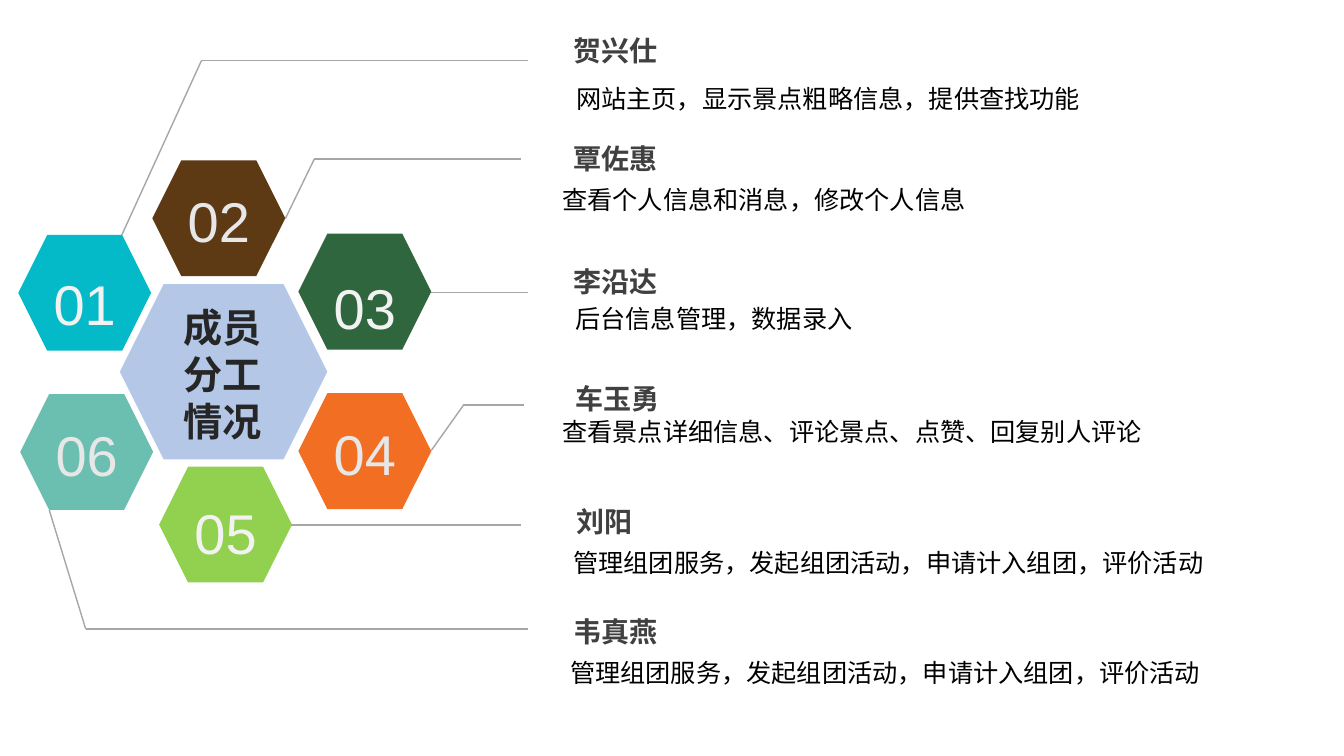
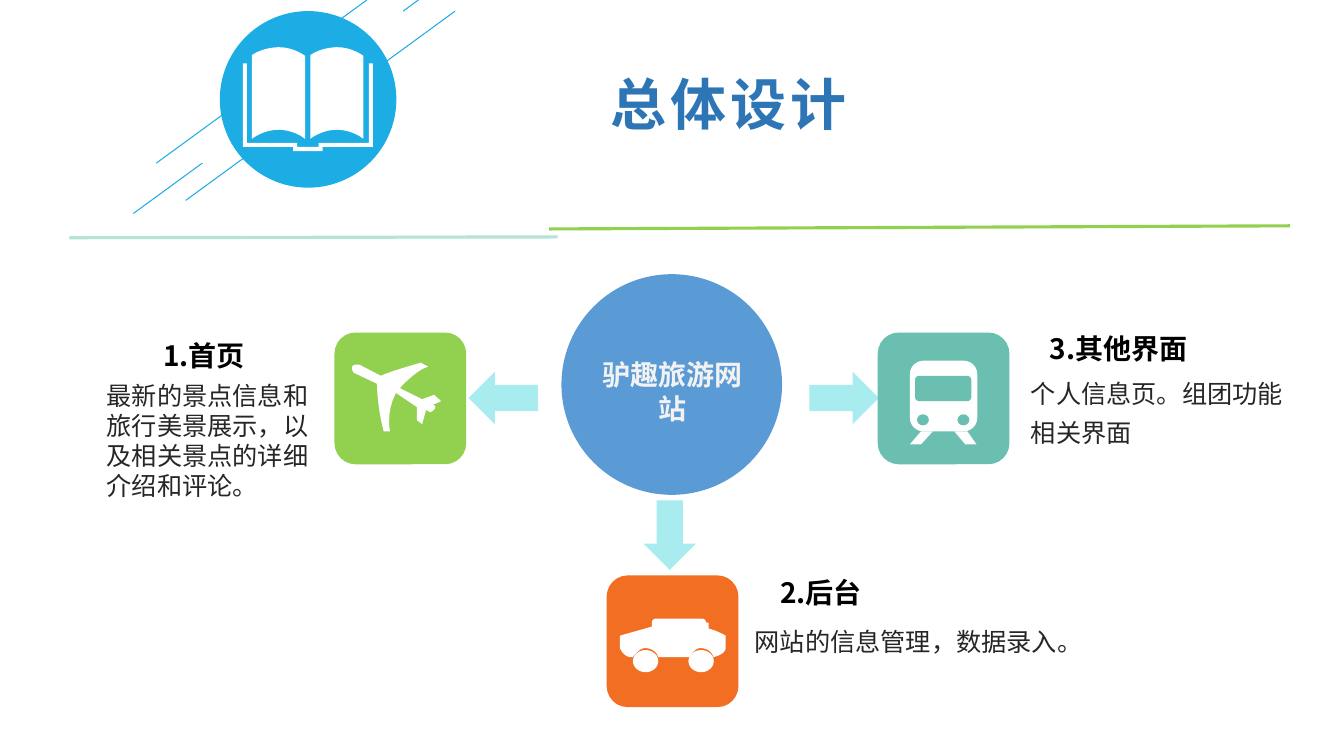
from itertools import pairwise

from lxml.etree import SubElement
from pptx import Presentation
from pptx.dml.color import RGBColor
from pptx.enum.shapes import MSO_CONNECTOR, MSO_SHAPE
from pptx.enum.text import MSO_ANCHOR, PP_ALIGN
from pptx.oxml.ns import qn
from pptx.util import Cm, Pt

HAN, LATIN = "Noto Sans CJK SC", "Arial"
WHITE = RGBColor(0xFF, 0xFF, 0xFF)
BLACK = RGBColor(0, 0, 0)
INK = RGBColor(0x26, 0x26, 0x26)
SLATE = RGBColor(0x40, 0x40, 0x40)
GRAY = RGBColor(0xA6, 0xA6, 0xA6)
PALE = RGBColor(0xF2, 0xF2, 0xF2)
SILVER = RGBColor(0xE7, 0xE7, 0xE7)
CYAN = RGBColor(0x05, 0xBA, 0xC8)
BROWN = RGBColor(0x5D, 0x3A, 0x14)
FOREST = RGBColor(0x2F, 0x66, 0x3E)
ORANGE = RGBColor(0xF2, 0x6E, 0x22)
LIME = RGBColor(0x92, 0xD0, 0x50)
TEAL = RGBColor(0x6B, 0xBF, 0xB0)
MIST = RGBColor(0xB4, 0xC7, 0xE7)
NAVY = RGBColor(0x2E, 0x75, 0xB6)
SKY = RGBColor(0x1C, 0xAD, 0xE4)
BLUE = RGBColor(0x5B, 0x9B, 0xD5)
ICE = RGBColor(0xA8, 0xEC, 0xEF)
MINT = RGBColor(0xB3, 0xE4, 0xD6)

HEX_W, HEX_H = 3.35, 2.92
TILE = 3.32

# Hexagon: left, top, fill, digit colour, drop of the digits.
# Then name and job (each with left and top) and the points of the leader.
MEMBERS = [
    ((0.46, 5.92, CYAN, PALE, 0.25), (14.2, 0.71, "贺兴仕"),
     (14.27, 1.98, "网站主页，显示景点粗略信息，提供查找功能"),
     [(3.07, 5.92), (5.08, 1.52), (13.31, 1.52)]),
    ((3.84, 4.04, BROWN, SILVER, 0.05), (14.2, 3.43, "覃佐惠"),
     (13.92, 4.52, "查看个人信息和消息，修改个人信息"),
     [(7.19, 5.51), (7.92, 4.01), (13.13, 4.01)]),
    ((7.52, 5.89, FOREST, PALE, 0.38), (14.2, 6.55, "李沿达"),
     (14.25, 7.52, "后台信息管理，数据录入"),
     [(10.87, 7.37), (13.31, 7.37)]),
    ((7.52, 9.91, ORANGE, SILVER, 0.05), (14.25, 9.5, "车玉勇"),
     (13.92, 10.36, "查看景点详细信息、评论景点、点赞、回复别人评论"),
     [(10.87, 11.35), (11.68, 10.21), (13.21, 10.21)]),
    ((4.01, 11.76, LIME, PALE, 0.2), (14.27, 12.6, "刘阳"),
     (14.2, 13.67, "管理组团服务，发起组团活动，申请计入组团，评价活动"),
     [(7.34, 13.23), (13.13, 13.23)]),
    ((0.51, 9.93, TEAL, SILVER, 0.05), (14.2, 15.37, "韦真燕"),
     (14.12, 16.43, "管理组团服务，发起组团活动，申请计入组团，评价活动"),
     [(1.24, 12.85), (2.16, 15.85), (13.31, 15.85)]),
]

# Outlines: a pair is a corner, four numbers are a bend (control, end).
PAGE = [(1.34, 2.31), (1.34, 0.22), (1.06, 0, 0.68, 0), (0.28, 0, 0, 0.2),
        (0, 2.31), (0.28, 2.08, 0.68, 2.08), (1.06, 2.08, 1.34, 2.31)]
COVER = [(3.28, 0.41), (3.18, 0.41), (3.18, 2.41), (1.91, 2.41),
         (1.91, 2.51), (1.37, 2.51), (1.37, 2.41), (0.1, 2.41),
         (0.1, 0.41), (0, 0.41), (0, 2.51), (1.27, 2.51), (1.27, 2.62),
         (2.01, 2.62), (2.01, 2.51), (3.28, 2.51)]
PLANE = [(2.08, 1.12), (2.31, 1.02), (2.13, 0.86), (1.83, 0.97),
         (1.27, 0.69), (1.65, 0.25, 1.98, 0.15), (1.8, 0.05),
         (1.07, 0.25, 0.79, 0.38), (0.25, 0.1), (-0.05, 0.05, 0.1, 0.3),
         (0.69, 0.58), (0.7, 1.2, 0.86, 1.78), (1.02, 1.78),
         (0.91, 1.3, 1.17, 0.81), (1.7, 1.17), (1.7, 1.5), (1.83, 1.6),
         (1.93, 1.24), (2.03, 1.3), (2.24, 1.2, 2.13, 1.12)]
CAR = [(2.67, 0.43), (2.45, 0.3, 2.24, 0.25), (2.24, 0.1), (2.18, 0.1),
       (2.16, 0, 2.08, 0), (0.91, 0), (0.81, 0, 0.81, 0.1), (0.81, 0.2),
       (0, 0.43), (0, 0.74), (0.1, 0.97, 0.28, 0.97), (0.33, 0.97),
       (0.48, 0.74, 0.64, 0.74), (0.91, 0.74, 0.97, 0.97), (1.75, 0.97),
       (1.88, 0.74, 2.03, 0.74), (2.31, 0.74, 2.36, 0.97),
       (2.67, 0.9, 2.67, 0.74)]
LEGS = [[(0.28, 1.78), (0, 2.11), (0.28, 2.11), (0.58, 1.78)],
        [(1.12, 1.78), (1.4, 2.11), (1.68, 2.11), (1.45, 1.78)]]


def paint(shape, color):
    shape.shadow.inherit = False
    shape.fill.solid()
    shape.fill.fore_color.rgb = color
    shape.line.fill.background()


def block(slide, kind, left, top, width, height, color, adjust=None):
    shape = slide.shapes.add_shape(
        kind, Cm(left), Cm(top), Cm(width), Cm(height))
    paint(shape, color)
    if adjust is not None:
        shape.adjustments[0] = adjust


def bend(start, control, end, steps=8):
    """Return the points of a curve that leaves start without a handle."""
    points = []
    for step in range(1, steps + 1):
        t = step / steps
        u = 1 - t
        points.append(tuple(
            (u ** 3 + 3 * u * u * t) * a + 3 * u * t * t * b + t ** 3 * c
            for a, b, c in zip(start, control, end)))
    return points


def trace(slide, left, top, outline, color):
    """Draw a closed outline from the corner at left, top."""
    points = [outline[0]]
    for part in outline[1:]:
        if len(part) == 4:
            points += bend(points[-1], part[:2], part[2:])
        else:
            points.append(part)
    spots = [(Cm(left + x), Cm(top + y)) for x, y in points]
    pen = slide.shapes.build_freeform(*spots[0])
    pen.add_line_segments(spots[1:], close=True)
    paint(pen.convert_to_shape(), color)


def stroke(slide, start, end, color, weight):
    line = slide.shapes.add_connector(
        MSO_CONNECTOR.STRAIGHT, *[Cm(v) for v in (*start, *end)])
    line.line.color.rgb = color
    line.line.width = Pt(weight)
    SubElement(line._element.spPr, qn("a:effectLst"))


def label(slide, left, top, width, height, text, size, color, bold=False,
          align=PP_ALIGN.LEFT, face=HAN, anchor=MSO_ANCHOR.TOP,
          spacing=None, track=None):
    box = slide.shapes.add_textbox(
        Cm(left), Cm(top), Cm(width), Cm(height))
    frame = box.text_frame
    frame.word_wrap = True
    frame.vertical_anchor = anchor
    frame.text = text
    para = frame.paragraphs[0]
    para.alignment = align
    if spacing:
        para.line_spacing = spacing
    run = para.runs[0]
    run.font.name = face
    run.font.size = Pt(size)
    run.font.bold = bold
    run.font.color.rgb = color
    props = run.font._element
    SubElement(props, qn("a:ea")).set("typeface", face)
    if track:
        props.set("spc", str(track * 100))


def badge(slide, left, top, fill, ink, drop, number):
    block(slide, MSO_SHAPE.HEXAGON, left, top, HEX_W, HEX_H, fill)
    label(slide, left, top + drop, HEX_W, HEX_H, f"{number:02}", 40, ink,
          align=PP_ALIGN.CENTER, face=LATIN, anchor=MSO_ANCHOR.MIDDLE)


def hub(slide, left, top):
    block(slide, MSO_SHAPE.HEXAGON, left, top, 5.23, 4.42, MIST)
    label(slide, left + 0.97, top + 0.36, 3.23, 3.84, "成员分工情况", 28,
          INK, bold=True, align=PP_ALIGN.CENTER)


def team_slide(slide):
    for number, (hexagon, name, job, leader) in enumerate(MEMBERS, 1):
        badge(slide, *hexagon, number)
        for start, end in pairwise(leader):
            stroke(slide, start, end, GRAY, 1)
        left, top, text = name
        label(slide, left, top, 5.8, 1.1, text, 20, SLATE, bold=True)
        left, top, text = job
        label(slide, left, top, 16.8, 1.02, text, 18, BLACK)
    hub(slide, 3.02, 7.16)


def emblem(slide, left, top):
    """Draw the open book on its disc, with slanting streaks."""
    block(slide, MSO_SHAPE.OVAL, left, top, 4.45, 4.45, SKY)
    for x, y in [(2.87, 0.33), (4.62, 0), (-1.6, 3.83), (-2.18, 5.1),
                 (4.19, 1.27), (-0.86, 4.77)]:
        foot = (left + x, top + y)
        rise = min(1.27, foot[1])
        stroke(slide, (foot[0] + rise * 1.37, foot[1] - rise), foot,
               SKY, 0.75)
    for shift in (0.23, 1.7):
        trace(slide, left + 0.58 + shift, top + 0.91, PAGE, WHITE)
    trace(slide, left + 0.58, top + 1.19 - 0.28, COVER, WHITE)


def plane(slide, left, top):
    trace(slide, left + 0.38, top + 0.71, PLANE, WHITE)


def car(slide, left, top):
    left, top = left + 0.33, top + 1.09
    for x in (0.33, 1.73):
        block(slide, MSO_SHAPE.OVAL, left + x, top + 0.79, 0.64, 0.56, WHITE)
    trace(slide, left, top, CAR, WHITE)


def train(slide, left, top):
    left, top = left + 0.81, top + 0.71
    slab = MSO_SHAPE.ROUNDED_RECTANGLE
    block(slide, slab, left, top, 1.7, 1.78, WHITE, 0.2)
    block(slide, slab, left + 0.13, top + 0.38, 1.42, 0.64, TEAL, 0.16)
    for x in (0.18, 1.2):
        block(slide, MSO_SHAPE.OVAL, left + x, top + 1.35, 0.3, 0.28, TEAL)
    for leg in LEGS:
        trace(slide, left, top, leg, WHITE)


def tile(slide, left, top, color, icon):
    block(slide, MSO_SHAPE.ROUNDED_RECTANGLE, left, top, TILE, TILE, color,
          0.16)
    icon(slide, left, top)


def header(slide):
    emblem(slide, 5.54, 0.28)
    label(slide, 15.14, 1.63, 14.9, 1.96, "总体设计", 40, NAVY, bold=True,
          track=3)
    stroke(slide, (1.75, 5.99), (14.05, 5.97), MINT, 2.25)
    stroke(slide, (13.84, 5.77), (32.51, 5.69), LIME, 2.25)


def centre(slide, left, top):
    """Place the disc and the three arrows that leave it."""
    block(slide, MSO_SHAPE.OVAL, left, top, 5.56, 5.56, BLUE)
    label(slide, left + 0.56, top + 1.98, 4.47, 1.96, "驴趣旅游网站", 20,
          PALE, bold=True, align=PP_ALIGN.CENTER)
    for kind, x, y, width, height in [
            (MSO_SHAPE.LEFT_ARROW, -2.34, 2.46, 1.75, 1.32),
            (MSO_SHAPE.RIGHT_ARROW, 6.25, 2.46, 1.75, 1.32),
            (MSO_SHAPE.DOWN_ARROW, 2.07, 5.7, 1.32, 1.75)]:
        block(slide, kind, left + x, top + y, width, height, ICE)


def design_slide(slide):
    header(slide)
    centre(slide, 14.15, 6.91)
    tile(slide, 8.43, 8.38, LIME, plane)
    tile(slide, 15.29, 14.5, ORANGE, car)
    tile(slide, 22.12, 8.38, TEAL, train)
    for left, top, text, align in [
            (0.2, 8.41, "1.首页", PP_ALIGN.RIGHT),
            (19.41, 14.38, "2.后台", PP_ALIGN.LEFT),
            (26.21, 8.23, "3.其他界面", PP_ALIGN.LEFT)]:
        label(slide, left, top, 6.22, 1.12, text, 20, BLACK, bold=True,
              align=align)
    for left, top, width, height, text, spacing in [
            (2.44, 9.45, 5.59, 3.33,
             "最新的景点信息和旅行美景展示，以及相关景点的详细介绍和评论。",
             None),
            (18.77, 15.44, 11.6, 1.24, "网站的信息管理，数据录入。", 1.3),
            (25.73, 9.17, 7.19, 2.26, "个人信息页。组团功能相关界面", 1.3)]:
        label(slide, left, top, width, height, text, 18, INK,
              spacing=spacing)


def main():
    deck = Presentation()
    deck.slide_width, deck.slide_height = Cm(33.87), Cm(19.05)
    blank = deck.slide_layouts[6]
    for build in (team_slide, design_slide):
        build(deck.slides.add_slide(blank))
    deck.save("out.pptx")


if __name__ == "__main__":
    main()
